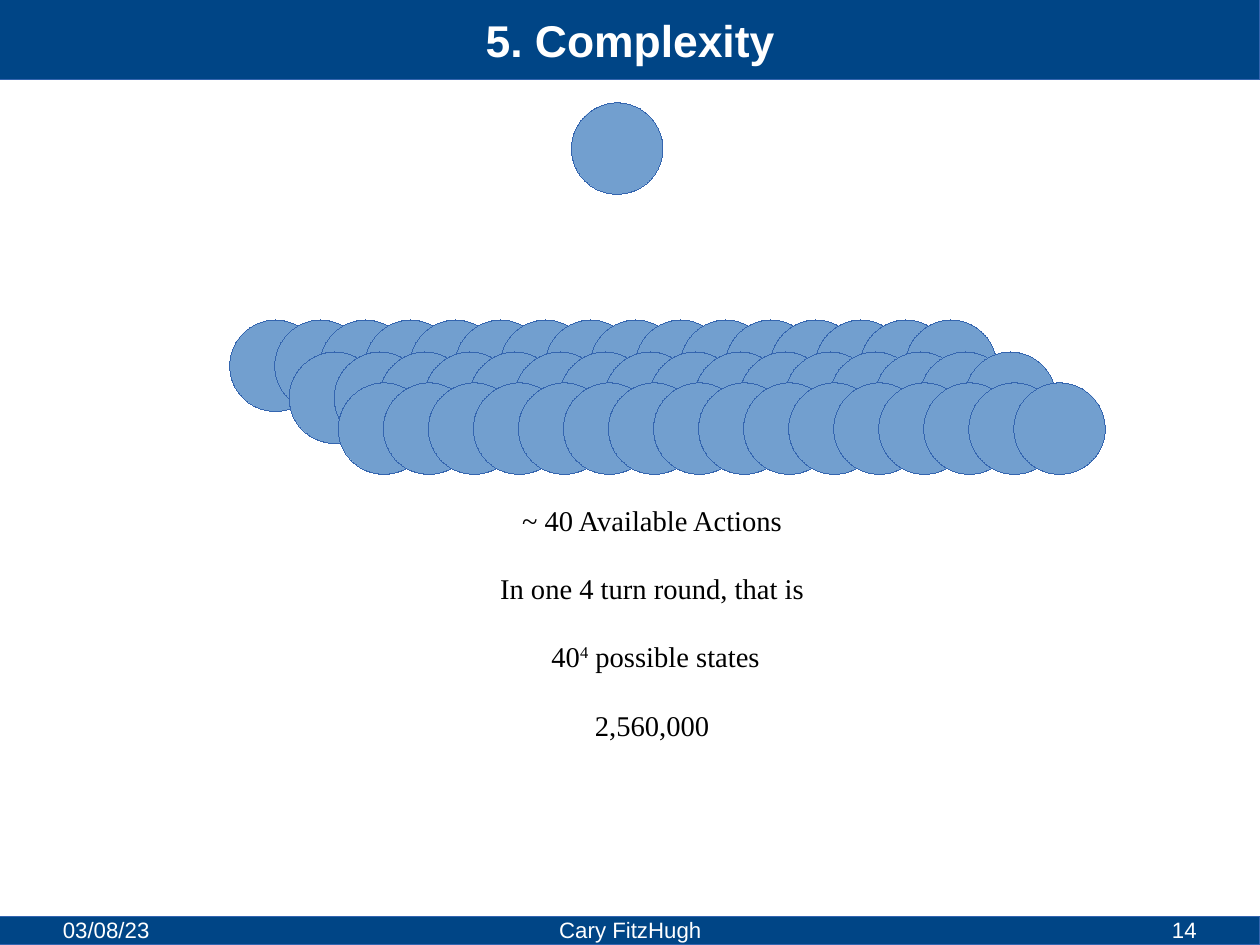
"""Builds the slide on the complexity of one game round."""
import pptx
import pptx.dml.color
import pptx.enum.shapes
import pptx.enum.text
import pptx.util

Inches = pptx.util.Inches
Pt = pptx.util.Pt
SHAPE = pptx.enum.shapes.MSO_SHAPE
ALIGN = pptx.enum.text.PP_ALIGN
ANCHOR = pptx.enum.text.MSO_ANCHOR

NAVY = pptx.dml.color.RGBColor(0x00, 0x45, 0x86)
SKY = pptx.dml.color.RGBColor(0x72, 0x9F, 0xCF)
OUTLINE = pptx.dml.color.RGBColor(0x34, 0x65, 0xAF)
WHITE = pptx.dml.color.RGBColor(0xFF, 0xFF, 0xFF)
BLACK = pptx.dml.color.RGBColor(0x00, 0x00, 0x00)

CM_PER_INCH = 2.54
WIDTH, HEIGHT = 28 / CM_PER_INCH, 21 / CM_PER_INCH
FOOTER_HEIGHT = 0.25
HAIRLINE = Pt(0.01)
TITLE_FORMAT = {"name": "Arial", "size": Pt(28), "bold": True, "color": WHITE}
FOOTER_FORMAT = {"name": "Arial", "size": Pt(14), "color": WHITE}
BODY_FORMAT = {"name": "Times New Roman", "size": Pt(18), "color": BLACK}

STATE_SIZE = 0.8
ACTIONS_PER_ROW = 16
ROW_SPAN = 5.91
ROW_STARTS = [(0, 0), (0.52, 0.28), (0.95, 0.55)]
CONCLUSIONS = [
    ["~ 40 Available Actions"],
    ["In one 4 turn round, that is"],
    [" 40", "4", " possible states"],
    ["2,560,000"],
]


def add_filled(slide, preset, box, color):
    """Draw a filled preset shape with a hairline outline."""
    shape = slide.shapes.add_shape(preset, *map(Inches, box))
    shape.shadow.inherit = False
    shape.fill.solid()
    shape.fill.fore_color.rgb = color
    shape.line.color.rgb = OUTLINE
    shape.line.width = HAIRLINE


def add_frame(slide, box, inset=(0, 0), anchor=ANCHOR.TOP):
    """Add an empty wrapping text box and return its text frame."""
    frame = slide.shapes.add_textbox(*map(Inches, box)).text_frame
    across, down = map(Inches, inset)
    settings = {
        "word_wrap": True, "vertical_anchor": anchor,
        "margin_left": across, "margin_right": across,
        "margin_top": down, "margin_bottom": down,
    }
    for name, value in settings.items():
        setattr(frame, name, value)
    return frame


def add_run(paragraph, text, font_format):
    """Append a formatted run and return it."""
    run = paragraph.add_run()
    run.text = text
    for name, value in font_format.items():
        if name == "color":
            run.font.color.rgb = value
        else:
            setattr(run.font, name, value)
    return run


def add_title(slide, box, text):
    """Draw the title bar with its centred heading."""
    add_filled(slide, SHAPE.RECTANGLE, box, NAVY)
    heading = add_frame(slide, box, anchor=ANCHOR.MIDDLE).paragraphs[0]
    heading.alignment = ALIGN.CENTER
    add_run(heading, text, TITLE_FORMAT)


def add_footer(slide, box, date, author, number):
    """Draw the footer bar with date, author and slide number."""
    left, top, width, height = box
    add_filled(slide, SHAPE.RECTANGLE, box, NAVY)
    entries = [
        (date, 0.55, 2.57, ALIGN.LEFT),
        (author, 3.77, 3.49, ALIGN.CENTER),
        (number, 7.9, 2.57, ALIGN.RIGHT),
    ]
    for text, offset, entry_width, alignment in entries:
        entry = add_frame(slide, (left + offset, top, entry_width, height)).paragraphs[0]
        entry.alignment = alignment
        add_run(entry, text, FOOTER_FORMAT)


def add_state_tree(slide, box):
    """Draw the starting state above three overlapping rows of next states."""
    left, top, width, height = box
    add_filled(slide, SHAPE.OVAL, (left + 2.99, top, STATE_SIZE, STATE_SIZE), SKY)
    pitch = ROW_SPAN / (ACTIONS_PER_ROW - 1)
    rows_top = top + 1.9
    for indent, drop in ROW_STARTS:
        for action in range(ACTIONS_PER_ROW):
            state = (left + indent + action * pitch, rows_top + drop, STATE_SIZE, STATE_SIZE)
            add_filled(slide, SHAPE.OVAL, state, SKY)


def add_conclusions(slide, box):
    """Write the centred lines that count the possible states."""
    frame = add_frame(slide, box, inset=(0.1, 0.05))
    for index, pieces in enumerate(CONCLUSIONS):
        line = frame.add_paragraph() if index else frame.paragraphs[0]
        line.alignment = ALIGN.CENTER
        if index:
            line.space_before = Pt(21.4)
        for position, piece in enumerate(pieces):
            run = add_run(line, piece, BODY_FORMAT)
            if position == 1:
                run.font._element.set("baseline", "33000")


def main():
    """Build and save the presentation."""
    presentation = pptx.Presentation()
    presentation.slide_width = Inches(WIDTH)
    presentation.slide_height = Inches(HEIGHT)
    slide = presentation.slides.add_slide(presentation.slide_layouts[6])
    add_title(slide, (0, 0, WIDTH, 0.7), "5. Complexity")
    add_state_tree(slide, (2.01, 0.9, 7.66, 3.25))
    add_conclusions(slide, (4.27, 4.35, 2.87, 2.04))
    footer_box = (0, HEIGHT - FOOTER_HEIGHT, WIDTH, FOOTER_HEIGHT)
    add_footer(slide, footer_box, "03/08/23", "Cary FitzHugh", "14")
    presentation.save("out.pptx")


if __name__ == "__main__":
    main()
